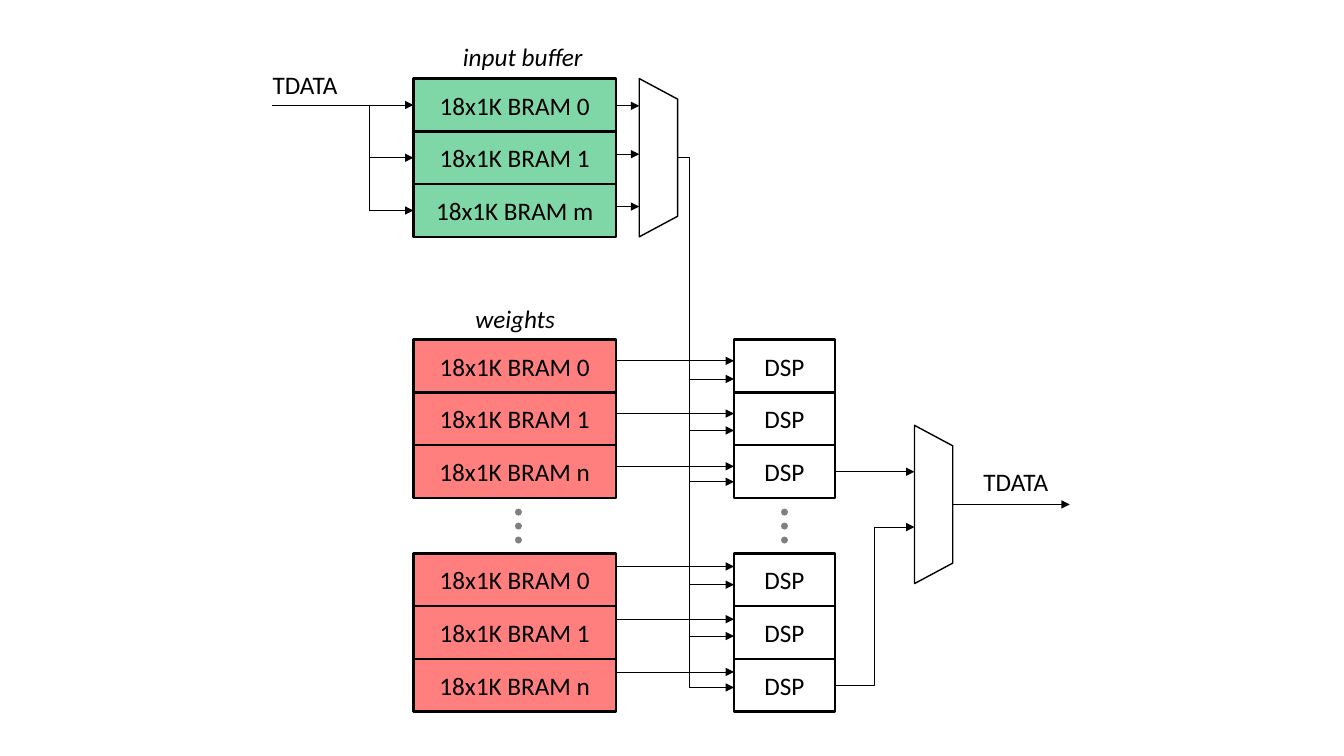
from lxml import etree
from pptx import Presentation, util as u
from pptx.dml.color import RGBColor
from pptx.enum import dml, shapes, text
from pptx.oxml.ns import qn

COLORS = {"ink": "000000", "dots": "808080", "weights": "FF0000", "buffer": "00B050"}
FONT = "Calibri"
STACK_ROWS = 3
STACK_HEIGHT = 1.57
ROW = STACK_HEIGHT / STACK_ROWS
MEMORY_LEFT, MEMORY_WIDTH = 4.1, 2.01
MEMORY_RIGHT = MEMORY_LEFT + MEMORY_WIDTH
DSP_LEFT, DSP_WIDTH = 7.28, 1.0
DSP_RIGHT = DSP_LEFT + DSP_WIDTH
MUX_WIDTH = 0.38
BUFFER_MUX_LEFT, OUTPUT_MUX_LEFT = 6.34, 9.07
BUS_X = 6.84
BUFFER_TOP, OUTPUT_MUX_TOP = 0.78, 4.22
BANK_TOPS = (3.37, 5.49)


def rgb(name):
    return RGBColor.from_string(COLORS[name])


def write(shape, words, italic=False):
    frame = shape.text_frame
    frame.word_wrap = False
    frame.vertical_anchor = text.MSO_ANCHOR.MIDDLE
    paragraph = frame.paragraphs[0]
    paragraph.text = words
    paragraph.alignment = text.PP_ALIGN.CENTER
    paragraph.font.name = FONT
    paragraph.font.size = u.Pt(18)
    paragraph.font.italic = italic
    paragraph.font.color.rgb = rgb("ink")


def label(slide, left, top, width, words, italic=False):
    caption = slide.shapes.add_textbox(*map(u.Inches, (left, top, width, 0.4)))
    write(caption, words, italic)


def outlined(slide, kind, box, weight, fill=None):
    shape = slide.shapes.add_shape(kind, *map(u.Inches, box))
    shape.shadow.inherit = False
    shape.line.color.rgb = rgb("ink")
    shape.line.width = u.Pt(weight)
    if fill:
        shape.fill.solid()
        shape.fill.fore_color.rgb = rgb(fill)
        tint = shape.fill._xPr.find(".//" + qn("a:srgbClr"))
        etree.SubElement(tint, qn("a:alpha"), val="50000")
    else:
        shape.fill.background()
    return shape


def wire(slide, start, end, arrow=True, bent=False, color="ink", weight=0.5):
    kind = shapes.MSO_CONNECTOR.ELBOW if bent else shapes.MSO_CONNECTOR.STRAIGHT
    line = slide.shapes.add_connector(kind, *map(u.Inches, (*start, *end)))
    line.line.color.rgb = rgb(color)
    line.line.width = u.Pt(weight)
    properties = line._element.spPr
    if arrow:
        etree.SubElement(properties.find(qn("a:ln")), qn("a:tailEnd"), type="triangle")
    etree.SubElement(properties, qn("a:effectLst"))
    return line


def ellipsis(slide, x, top):
    dots = wire(slide, (x, top), (x, top + 0.41), False, color="dots", weight=5)
    dots.line.dash_style = dml.MSO_LINE.ROUND_DOT
    dots.line._ln.set("cap", "rnd")


def stack(slide, left, top, width, names, fill=None):
    for row, name in enumerate(names):
        cell = outlined(slide, shapes.MSO_SHAPE.RECTANGLE,
                        (left, top + row * ROW, width, ROW), 1.75, fill)
        write(cell, name)


def mux(slide, left, top):
    middle_x, middle_y = left + MUX_WIDTH / 2, top + STACK_HEIGHT / 2
    body = outlined(slide, shapes.MSO_SHAPE.TRAPEZOID,
                    (middle_x - STACK_HEIGHT / 2, middle_y - MUX_WIDTH / 2,
                     STACK_HEIGHT, MUX_WIDTH), 1)
    body.adjustments[0] = 0.536
    body.rotation = 90


def brams(last):
    return [f"18x1K BRAM {index}" for index in ("0", "1", last)]


def input_buffer(slide, top):
    stack(slide, MEMORY_LEFT, top, MEMORY_WIDTH, brams("m"), "buffer")
    label(slide, 4.48, top - 0.42, 1.41, "input buffer", True)
    label(slide, 2.6, top - 0.14, 0.85, "TDATA")
    mux(slide, BUFFER_MUX_LEFT, top)
    for offset in (0.27, 0.75, 1.27):
        wire(slide, (MEMORY_RIGHT, top + offset), (BUFFER_MUX_LEFT, top + offset))
    branch_x = 3.66
    entries = [top + (row + 0.5) * ROW for row in range(STACK_ROWS)]
    for start, y in zip((2.7, branch_x, branch_x), entries):
        wire(slide, (start, y), (MEMORY_LEFT, y))
    wire(slide, (branch_x, entries[0]), (branch_x, entries[-1]), False)


def compute_bank(slide, top, weight_offset):
    stack(slide, MEMORY_LEFT, top, MEMORY_WIDTH, brams("n"), "weights")
    stack(slide, DSP_LEFT, top, DSP_WIDTH, ["DSP"] * STACK_ROWS)
    for row in range(STACK_ROWS):
        weight_y = top + weight_offset + row * ROW
        bus_y = top + weight_offset + 0.18 + row * 0.51
        wire(slide, (MEMORY_RIGHT, weight_y), (DSP_LEFT, weight_y))
        wire(slide, (BUS_X, bus_y), (DSP_LEFT, bus_y))


def bus(slide, top, bottom):
    wire(slide, (BUFFER_MUX_LEFT + MUX_WIDTH, top), (BUS_X, top), False)
    wire(slide, (BUS_X, top), (BUS_X, bottom), False)


def output(slide, top):
    mux(slide, OUTPUT_MUX_LEFT, top)
    wire(slide, (DSP_RIGHT, top + 0.46), (OUTPUT_MUX_LEFT, top + 0.46))
    last_dsp_y = BANK_TOPS[1] + 2.5 * ROW
    wire(slide, (DSP_RIGHT, last_dsp_y), (OUTPUT_MUX_LEFT, top + 1.01), bent=True)
    middle = top + STACK_HEIGHT / 2
    wire(slide, (OUTPUT_MUX_LEFT + MUX_WIDTH, middle), (10.61, middle))
    label(slide, 9.65, top + 0.36, 0.85, "TDATA")


def main():
    deck = Presentation()
    deck.slide_width, deck.slide_height = u.Inches(13.33), u.Inches(7.5)
    slide = deck.slides.add_slide(deck.slide_layouts[6])
    input_buffer(slide, BUFFER_TOP)
    label(slide, 4.61, BANK_TOPS[0] - 0.41, 1, "weights", True)
    for top, weight_offset in zip(BANK_TOPS, (0.21, 0.13)):
        compute_bank(slide, top, weight_offset)
    for x in (5.14, 7.78):
        ellipsis(slide, x, 5.08)
    bus(slide, BUFFER_TOP + STACK_HEIGHT / 2, 6.83)
    output(slide, OUTPUT_MUX_TOP)
    deck.save("out.pptx")


if __name__ == "__main__":
    main()
